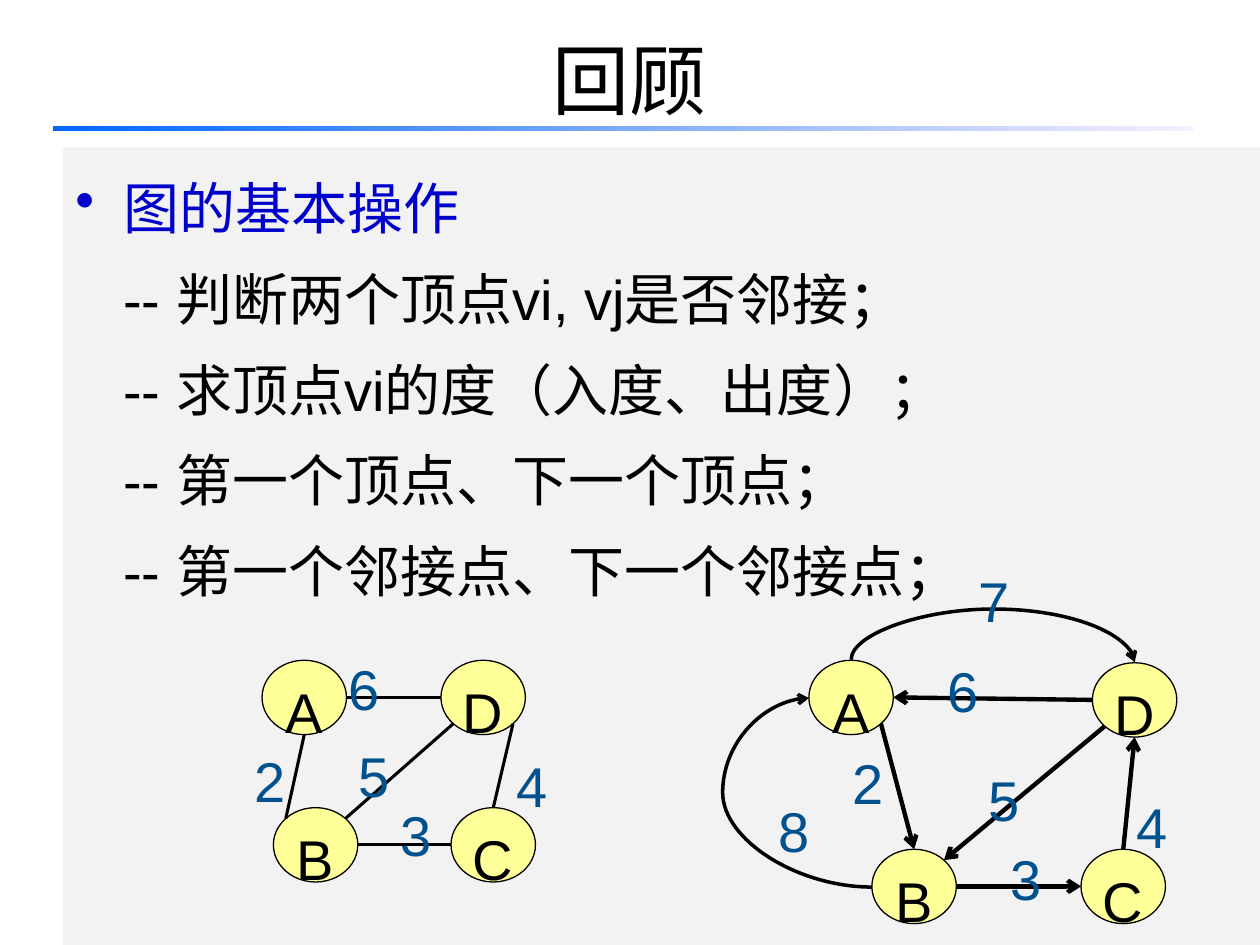
from math import cos, radians, sin

from lxml.etree import SubElement
from pptx import Presentation
from pptx.dml.color import RGBColor
from pptx.enum.shapes import MSO_CONNECTOR, MSO_SHAPE
from pptx.enum.text import MSO_ANCHOR, PP_ALIGN
from pptx.oxml.ns import qn
from pptx.util import Inches, Pt

TOP, UPPER_LEFT, LEFT, LOWER_LEFT, BOTTOM, LOWER_RIGHT, RIGHT, UPPER_RIGHT = range(8)
NODE_WIDTH, NODE_HEIGHT = 0.67, 0.59

OPERATIONS = [
    "-- 判断两个顶点vi, vj是否邻接；",
    "-- 求顶点vi的度（入度、出度）；",
    "-- 第一个顶点、下一个顶点；",
    "-- 第一个邻接点、下一个邻接点；",
]

DIRECTED = {
    "nodes": {"A": (6.42, 5.24), "D": (8.67, 5.26), "B": (6.92, 6.74), "C": (8.58, 6.74)},
    "edges": [
        ("D", LEFT, "A", RIGHT),
        ("C", TOP, "D", BOTTOM),
        ("A", LOWER_RIGHT, "B", TOP),
        ("D", LOWER_LEFT, "B", UPPER_RIGHT),
        ("B", RIGHT, "C", LEFT),
    ],
    "weights": {"6": (7.42, 4.97), "4": (8.92, 6.05), "5": (7.75, 5.83), "3": (7.92, 6.46),
                "2": (6.67, 5.7), "7": (7.67, 4.25), "8": (6.08, 6.08)},
}
UNDIRECTED = {
    "nodes": {"A": (2.08, 5.24), "D": (3.5, 5.24), "B": (2.17, 6.41), "C": (3.58, 6.41)},
    "edges": [
        ("D", LOWER_RIGHT, "C", TOP),
        ("D", LEFT, "A", RIGHT),
        ("B", UPPER_LEFT, "A", BOTTOM),
        ("C", LEFT, "B", RIGHT),
        ("D", LOWER_LEFT, "B", UPPER_RIGHT),
    ],
    "weights": {"6": (2.67, 4.95), "4": (4, 5.72), "5": (2.75, 5.64), "3": (3.08, 6.11),
                "2": (1.92, 5.68)},
}


def color(code):
    return RGBColor.from_string(code)


def apply(target, formats):
    for name, value in formats.items():
        setattr(target, name, value)


def site(corner, index):
    angle = radians(90 + 45 * index)
    left, top = corner
    return (left + NODE_WIDTH / 2 * (1 + cos(angle)),
            top + NODE_HEIGHT / 2 * (1 - sin(angle)))


class GraphSlide:
    """Hold the style and the current slide, and draw its elements."""

    ink, accent, weight_color, node_fill = "000000", "0000CC", "00518E", "FFFF99"
    latin, east_asian = "Arial", "Noto Sans CJK SC"

    def __init__(self, slide):
        self.slide = slide

    def add_text(self, paragraph, text, code, size=32, font=None, **formats):
        apply(paragraph, formats)
        run = paragraph.add_run()
        run.text = text
        apply(run.font, {"name": font or self.latin, "size": Pt(size)})
        run.font.color.rgb = color(code)
        SubElement(run._r.get_or_add_rPr(), qn("a:ea"), typeface=self.east_asian)

    def title(self, text):
        title = self.slide.shapes.title
        apply(title, {"left": Inches(0.5), "top": Inches(0),
                      "width": Inches(9), "height": Inches(1.25)})
        title.text_frame.vertical_anchor = MSO_ANCHOR.MIDDLE
        self.add_text(title.text_frame.paragraphs[0], text, self.ink, 44,
                      self.east_asian, alignment=PP_ALIGN.CENTER)

    def shape(self, preset, left, top, width, height, fill=None):
        shape = self.slide.shapes.add_shape(
            preset, Inches(left), Inches(top), Inches(width), Inches(height))
        shape.shadow.inherit = False
        shape.line.fill.background()
        if fill:
            shape.fill.solid()
            shape.fill.fore_color.rgb = color(fill)
        return shape

    def rule(self, start, end):
        rule = self.shape(MSO_SHAPE.RECTANGLE, 0.42, 1, 9.05, 0.04)
        rule.fill.gradient()
        rule.fill.gradient_angle = 0
        for position, (stop, code) in enumerate(zip(rule.fill.gradient_stops, (start, end))):
            stop.color.rgb = color(code)
            stop.position = position

    def body(self, heading, items):
        frame = self.shape(MSO_SHAPE.RECTANGLE, 0.5, 1.17, 9.5, 6.33, "F2F2F2").text_frame
        apply(frame, {"word_wrap": True, "vertical_anchor": MSO_ANCHOR.TOP})
        margin = Inches(0.38)
        first = frame.paragraphs[0]
        first.line_spacing = 1.3
        properties = first._p.get_or_add_pPr()
        properties.set("marL", str(margin))
        properties.set("indent", str(-margin))
        SubElement(properties, qn("a:buChar"), char="•")
        self.add_text(first, heading, self.accent, alignment=PP_ALIGN.JUSTIFY)
        for item in items:
            paragraph = frame.add_paragraph()
            paragraph._p.get_or_add_pPr().set("marL", str(margin))
            self.add_text(paragraph, item, self.ink,
                          alignment=PP_ALIGN.JUSTIFY, line_spacing=1.35)

    def node(self, name, corner):
        node = self.shape(MSO_SHAPE.OVAL, *corner, NODE_WIDTH, NODE_HEIGHT, self.node_fill)
        node.line.color.rgb = color(self.ink)
        node.line.width = Pt(0.75)
        apply(node.text_frame, {"word_wrap": False, "vertical_anchor": MSO_ANCHOR.MIDDLE,
                                "margin_top": Inches(0.13)})
        self.add_text(node.text_frame.paragraphs[0], name, self.ink,
                      alignment=PP_ALIGN.CENTER, line_spacing=1.25)

    def edge(self, start, end, width, arrow, kind=MSO_CONNECTOR.STRAIGHT):
        edge = self.slide.shapes.add_connector(kind, *map(Inches, (*start, *end)))
        edge.line.color.rgb = color(self.ink)
        edge.line.width = Pt(width)
        properties = edge.element.spPr
        if arrow:
            SubElement(properties.find(qn("a:ln")), qn("a:tailEnd"), type="arrow")
        SubElement(properties, qn("a:effectLst"))
        return edge

    def arc(self, corner, size, turn, bend, flip=False):
        opposite = [place + length for place, length in zip(corner, size)]
        arc = self.edge(corner, opposite, 2, True, MSO_CONNECTOR.CURVE)
        properties = arc.element.spPr
        frame = properties.find(qn("a:xfrm"))
        frame.set("rot", str(turn * 60000))
        if flip:
            frame.set("flipH", "1")
        geometry = properties.find(qn("a:prstGeom"))
        SubElement(geometry.find(qn("a:avLst")), qn("a:gd"),
                   name="adj1", fmla=f"val {round(bend * 100000)}")

    def weight(self, text, corner):
        left, top = corner
        box = self.slide.shapes.add_textbox(
            Inches(left), Inches(top + 0.06), Inches(0.75), Inches(0.71))
        box.text_frame.word_wrap = True
        self.add_text(box.text_frame.paragraphs[0], text, self.weight_color, line_spacing=1.25)

    def graph(self, nodes, edges, weights, width, arrow):
        for name, corner in nodes.items():
            self.node(name, corner)
        for source, leaving, target, entering in edges:
            self.edge(site(nodes[source], leaving), site(nodes[target], entering), width, arrow)
        for text, corner in weights.items():
            self.weight(text, corner)


def main():
    deck = Presentation()
    apply(deck, {"slide_width": Inches(10), "slide_height": Inches(7.5)})
    page = GraphSlide(deck.slides.add_slide(deck.slide_layouts[5]))
    page.title("回顾")
    page.rule("0066FF", "F7EFFF")
    page.body("图的基本操作", OPERATIONS)
    page.arc((7.87, 4.12), (0.02, 2.25), 270, -20, flip=True)
    page.arc((6.42, 5.54), (0.5, 1.5), 180, 2.37)
    page.graph(**DIRECTED, width=2.5, arrow=True)
    page.graph(**UNDIRECTED, width=1.75, arrow=False)
    deck.save("out.pptx")


if __name__ == "__main__":
    main()
